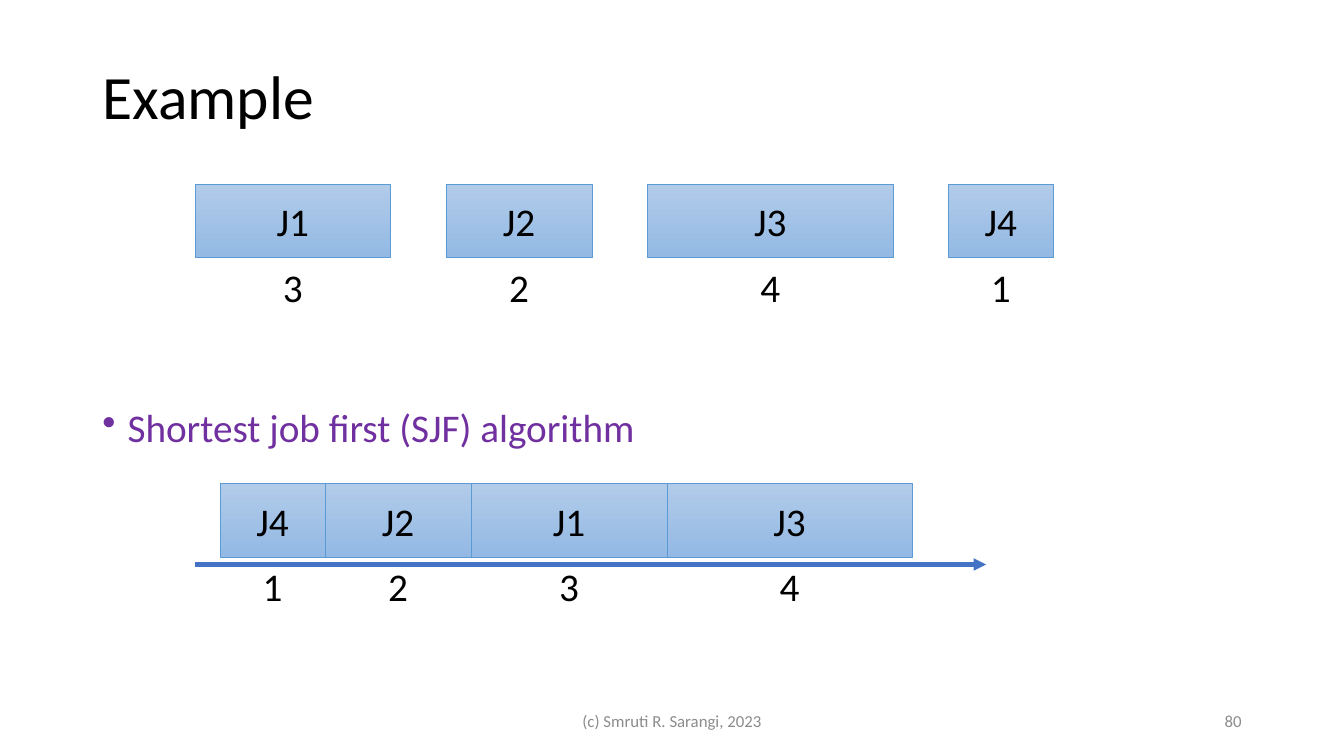
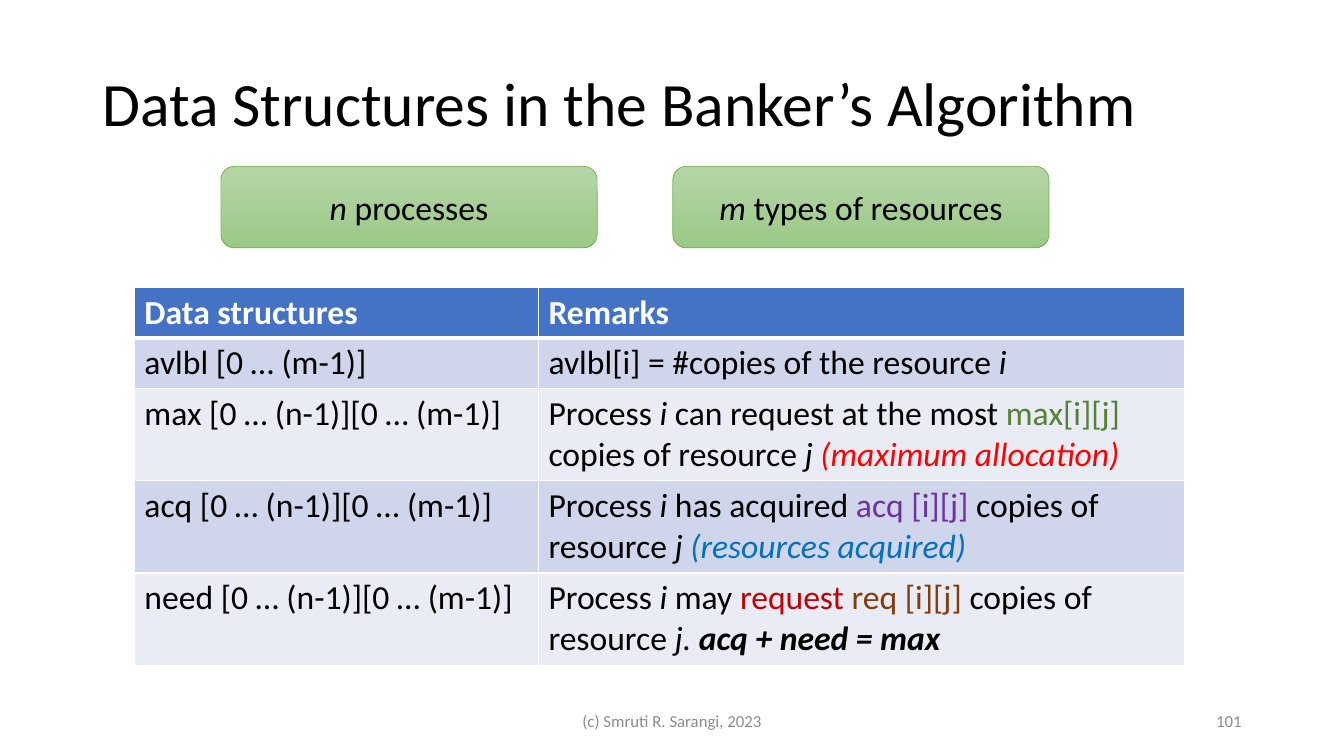
from lxml import etree
from pptx import Presentation, util as u
from pptx.dml.color import RGBColor
from pptx.enum import shapes, text
from pptx.oxml import ns

COLUMNS, ROWS = 160, 90
SLIDE_WIDTH, SLIDE_HEIGHT = u.Inches(13.33), u.Inches(7.5)

FONT = "Calibri"
BLACK = RGBColor(0x00, 0x00, 0x00)
WHITE = RGBColor(0xFF, 0xFF, 0xFF)
GREY = RGBColor(0x8C, 0x8C, 0x8C)
PURPLE = RGBColor(0x70, 0x30, 0xA0)
BLUE = RGBColor(0x44, 0x72, 0xC4)
SKY = RGBColor(0x00, 0x70, 0xC0)
GREEN = RGBColor(0x54, 0x82, 0x35)
RED = RGBColor(0xFF, 0x00, 0x00)
DARK_RED = RGBColor(0xC0, 0x00, 0x00)
BROWN = RGBColor(0x84, 0x3C, 0x0B)
BANDS = RGBColor(0xE9, 0xEB, 0xF5), RGBColor(0xCF, 0xD5, 0xEA)
JOB_TONES = (RGBColor(0xB1, 0xCB, 0xE9), RGBColor(0x93, 0xB9, 0xE4),
             RGBColor(0x5B, 0x9B, 0xD5))
FACT_TONES = (RGBColor(0xB5, 0xD5, 0xA7), RGBColor(0x9C, 0xC9, 0x87),
              RGBColor(0x70, 0xAD, 0x47))

LEFT, CENTER, RIGHT = text.PP_ALIGN.LEFT, text.PP_ALIGN.CENTER, text.PP_ALIGN.RIGHT
TOP, MIDDLE = text.MSO_ANCHOR.TOP, text.MSO_ANCHOR.MIDDLE

JOBS = {"J1": (3, 23.3), "J2": (2, 17.4), "J3": (4, 29.2), "J4": (1, 12.5)}
JOB_HEIGHT = 8.7

I = {"italic": True}
STRUCTURES = [
    ("Data structures", ["Remarks"]),
    ("avlbl [0 … (m-1)]", ["avlbl[i] = #copies of the resource ", ("i", I)]),
    ("max [0 … (n-1)][0 … (m-1)]",
     ["Process ", ("i ", I), "can request at the most ",
      ("max[i][j] ", {"color": GREEN}), "copies of resource ", ("j ", I),
      ("(maximum allocation)", {"color": RED, **I})]),
    ("acq [0 … (n-1)][0 … (m-1)]",
     ["Process ", ("i ", I), "has acquired ", ("acq [i][j]", {"color": PURPLE}),
      " copies of resource ", ("j ", I),
      ("(resources acquired)", {"color": SKY, **I})]),
    ("need [0 … (n-1)][0 … (m-1)]",
     ["Process ", ("i ", I), "may ", ("request ", {"color": DARK_RED}),
      ("req [i][j] ", {"color": BROWN}), "copies of resource ", ("j. ", I),
      ("acq + need = max", {"bold": True, **I})]),
]


def across(columns):
    return u.Emu(round(SLIDE_WIDTH * columns / COLUMNS))


def down(rows):
    return u.Emu(round(SLIDE_HEIGHT * rows / ROWS))


def area(left, top, width, height):
    return across(left), down(top), across(width), down(height)


def write(frame, pieces, size, color=BLACK, align=LEFT, bold=False):
    paragraph = frame.paragraphs[0]
    paragraph.alignment = align
    font = paragraph.font
    font.name, font.size, font.bold = FONT, u.Pt(size), bold
    font.color.rgb = color
    for piece in pieces:
        words, style = (piece, {}) if isinstance(piece, str) else piece
        run = paragraph.add_run()
        run.text = words
        if "italic" in style:
            run.font.italic = True
        if "bold" in style:
            run.font.bold = True
        if "color" in style:
            run.font.color.rgb = style["color"]
    return paragraph


def add_label(slide, box, words, size, color=BLACK, align=LEFT, anchor=TOP):
    frame = slide.shapes.add_textbox(*area(*box)).text_frame
    frame.word_wrap = True
    frame.vertical_anchor = anchor
    return write(frame, [words], size, color, align)


def add_block(slide, kind, box, pieces, size, tones):
    block = slide.shapes.add_shape(kind, *area(*box))
    block.shadow.inherit = False
    block.fill.gradient()
    block.fill.gradient_angle = 270
    for stop, tone in zip(block.fill.gradient_stops, tones):
        stop.color.rgb = tone
    block.line.color.rgb = tones[2]
    block.line.width = u.Pt(0.5)
    block.text_frame.vertical_anchor = MIDDLE
    write(block.text_frame, pieces, size, align=CENTER)


def add_jobs(slide, names, left, top, gap=0):
    for name in names:
        duration, width = JOBS[name]
        add_block(slide, shapes.MSO_SHAPE.RECTANGLE,
                  (left, top, width, JOB_HEIGHT), [name], 28, JOB_TONES)
        add_label(slide, (left, top + JOB_HEIGHT, width, 6.8),
                  str(duration), 28, align=CENTER)
        left += width + gap


def add_time_axis(slide, start, end, top):
    axis = slide.shapes.add_connector(shapes.MSO_CONNECTOR.STRAIGHT, across(start),
                                      down(top), across(end), down(top))
    axis.line.color.rgb = BLUE
    axis.line.width = u.Pt(3)
    etree.SubElement(axis.line._get_or_add_ln(), ns.qn("a:tailEnd"), type="triangle")
    etree.SubElement(axis._element.spPr, ns.qn("a:effectLst"))


def add_bullet(slide, box, words, color):
    paragraph = add_label(slide, box, words, 28, color)
    paragraph.line_spacing = 0.9
    properties = paragraph._p.get_or_add_pPr()
    properties.set("marL", str(u.Inches(0.25)))
    properties.set("indent", str(-u.Inches(0.25)))
    mark = etree.Element(ns.qn("a:buChar"), char="•")
    properties.find(ns.qn("a:defRPr")).addprevious(mark)


def add_borders(cell, bottom):
    properties = cell._tc.get_or_add_tcPr()
    for side, width in (("L", 1), ("R", 1), ("T", 1), ("B", bottom)):
        edge = etree.SubElement(properties, ns.qn("a:ln" + side), w=str(u.Pt(width)))
        fill = etree.SubElement(edge, ns.qn("a:solidFill"))
        etree.SubElement(fill, ns.qn("a:srgbClr"), val=str(WHITE))


def add_structures(slide, left, top, widths, heights):
    table = slide.shapes.add_table(
        len(heights), len(widths),
        *area(left, top, sum(widths), sum(heights))).table
    for column, width in zip(table.columns, widths):
        column.width = across(width)
    for index, (structure, remark) in enumerate(STRUCTURES):
        table.rows[index].height = down(heights[index])
        header = index == 0
        for cell, pieces in zip(table.rows[index].cells, ([structure], remark)):
            add_borders(cell, 3 if header else 1)
            cell.fill.solid()
            cell.fill.fore_color.rgb = BLUE if header else BANDS[index % 2]
            write(cell.text_frame, pieces, 24, WHITE if header else BLACK, bold=header)


def add_page(deck, title, title_top, number):
    slide = deck.slides.add_slide(deck.slide_layouts[6])
    heading = add_label(slide, (11, title_top, 138, 17.4), title, 44, anchor=MIDDLE)
    heading.line_spacing = 0.9
    add_label(slide, (53, 83.4, 54, 4.8), "(c) Smruti R. Sarangi, 2023", 12,
              GREY, CENTER, MIDDLE)
    add_label(slide, (113, 83.4, 36, 4.8), str(number), 12, GREY, RIGHT, MIDDLE)
    return slide


def add_scheduling(deck):
    slide = add_page(deck, "Example", 3.1, 80)
    add_jobs(slide, ["J1", "J2", "J3", "J4"], 23.2, 22, gap=6.6)
    add_bullet(slide, (11, 48, 138, 8.6), "Shortest job first (SJF) algorithm", PURPLE)
    add_time_axis(slide, 23.2, 117.4, 67.2)
    add_jobs(slide, sorted(JOBS, key=JOBS.get), 26.2, 57.6)


def add_bankers(deck):
    slide = add_page(deck, "Data Structures in the Banker’s Algorithm", 4, 101)
    facts = [("n", I), " processes"], [("m ", I), "types of resources"]
    for index, fact in enumerate(facts):
        add_block(slide, shapes.MSO_SHAPE.ROUNDED_RECTANGLE,
                  (26.3 + index * 53.8, 19.8, 44.8, 9.7), fact, 24, FACT_TONES)
    add_structures(slide, 16, 34.2, (48.1, 76.9), (6, 6, 11, 11, 11))


def main():
    deck = Presentation()
    deck.slide_width, deck.slide_height = SLIDE_WIDTH, SLIDE_HEIGHT
    add_scheduling(deck)
    add_bankers(deck)
    deck.save("out.pptx")


if __name__ == "__main__":
    main()
